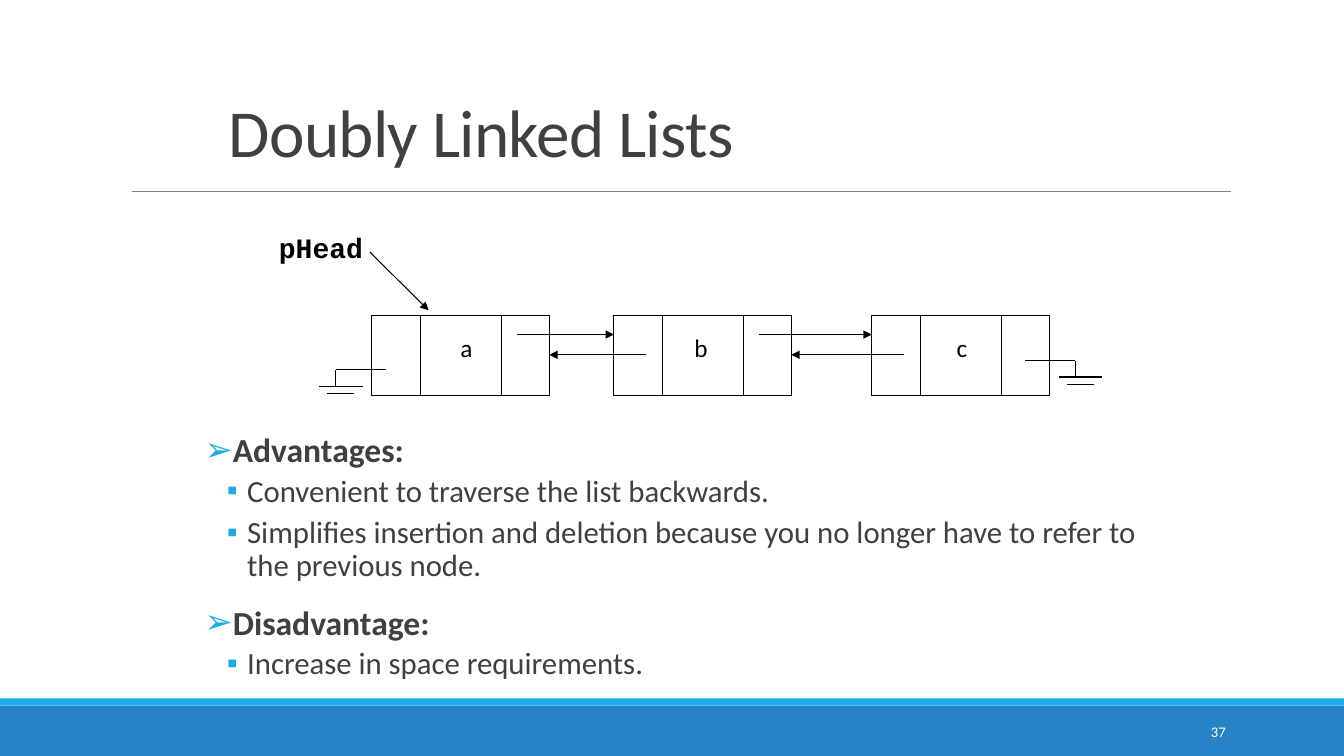
from pptx import Presentation
from pptx.dml.color import RGBColor
from pptx.enum.shapes import MSO_CONNECTOR, MSO_SHAPE
from pptx.enum.text import MSO_ANCHOR, PP_ALIGN
from pptx.oxml.ns import qn
from pptx.util import Cm, Pt
from lxml import etree

BLACK = RGBColor(0, 0, 0)
WHITE = RGBColor(255, 255, 255)
GREY = RGBColor(0x80, 0x80, 0x80)
DARK = RGBColor(0x40, 0x40, 0x40)
BLUE = RGBColor(0x26, 0x83, 0xC6)
CYAN = RGBColor(0x1C, 0xAD, 0xE4)
RECT = MSO_SHAPE.RECTANGLE
LINE = MSO_CONNECTOR.STRAIGHT
TOP, MID, LOW = MSO_ANCHOR.TOP, MSO_ANCHOR.MIDDLE, MSO_ANCHOR.BOTTOM
LEFT, CENTER, RIGHT = PP_ALIGN.LEFT, PP_ALIGN.CENTER, PP_ALIGN.RIGHT

TITLE = "Doubly Linked Lists"
NODES = [("a", 9.37, 10.8), ("b", 15.47, 16.71), ("c", 21.97, 23.29)]
POINTS = [
    ("Advantages:", [
        "Convenient to traverse the list backwards.",
        "Simplifies insertion and deletion because you no longer have to refer to the previous node.",
    ]),
    ("Disadvantage:", ["Increase in space requirements."]),
]
GROUNDS = [(25.83, 27.1, 9.09), (9.73, 8.46, 9.32)]
NODE_Y, NODE_W, NODE_H = 7.95, 4.47, 2.01
SPLITS = (1.23, 3.26)

deck = Presentation()
deck.slide_width, deck.slide_height = Cm(33.87), Cm(19.05)
slide = deck.slides.add_slide(deck.slide_layouts[5])
shapes = slide.shapes


def style(par, size, color, font="Calibri", bold=False):
    for run in par.runs:
        run.font.size = Pt(size)
        run.font.name = font
        run.font.bold = bold
        run.font.color.rgb = color


def rect(x, y, w, h, fill, edge=None):
    box = shapes.add_shape(RECT, Cm(x), Cm(y), Cm(w), Cm(h))
    box.shadow.inherit = False
    box.fill.solid()
    box.fill.fore_color.rgb = fill
    if edge is None:
        box.line.fill.background()
    else:
        box.line.color.rgb = edge
        box.line.width = Pt(0.75)


def line(x1, y1, x2, y2, color=BLACK, width=0.75, arrow=False):
    link = shapes.add_connector(LINE, Cm(x1), Cm(y1), Cm(x2), Cm(y2))
    link.line.color.rgb = color
    link.line.width = Pt(width)
    if arrow:
        etree.SubElement(link.line._get_or_add_ln(), qn("a:tailEnd"), type="triangle")
    etree.SubElement(link._element.spPr, qn("a:effectLst"))


def label(text, x, y, w, h, size, color=BLACK, font="Calibri", bold=False, align=LEFT, anchor=TOP):
    box = shapes.add_textbox(Cm(x), Cm(y), Cm(w), Cm(h))
    frame = box.text_frame
    frame.word_wrap = True
    frame.vertical_anchor = anchor
    frame.text = text
    frame.paragraphs[0].alignment = align
    style(frame.paragraphs[0], size, color, font, bold)


def bullet(par, mark, margin, hang):
    props = par._p.get_or_add_pPr()
    props.set("marL", str(Cm(margin)))
    props.set("indent", str(-Cm(hang)))
    tint = etree.SubElement(props, qn("a:buClr"))
    etree.SubElement(tint, qn("a:srgbClr"), val=str(CYAN))
    etree.SubElement(props, qn("a:buFont"), typeface="Wingdings" if mark == "" else "Arial")
    etree.SubElement(props, qn("a:buChar"), char=mark)


def ground(x, end, y):
    line(x, y, end, y)
    line(end, y, end, y + 0.42)
    mid = end + 0.13
    for half, drop in ((0.55, 0.41), (0.34, 0.59)):
        line(mid - half, y + drop, mid + half, y + drop)


rect(0, 17.78, 33.87, 1.27, BLUE)
rect(0, 17.6, 33.87, 0.18, CYAN)
line(3.33, 4.83, 31.01, 4.83, GREY, 0.5)

title = shapes.title
title.left, title.top, title.width, title.height = Cm(5.51), Cm(0.97), Cm(22.86), Cm(3.48)
title.text_frame.text = TITLE
title.text_frame.vertical_anchor = LOW
head = title.text_frame.paragraphs[0]
head.alignment = LEFT
head.line_spacing = 0.85
style(head, 48, DARK)
head.runs[0].font._element.set("spc", "-50")

body = shapes.add_textbox(Cm(5.16), Cm(10.8), Cm(23.83), Cm(7.42)).text_frame
body.word_wrap = True
body.margin_left = body.margin_right = 0
rows = []
for topic, items in POINTS:
    rows.append((topic, 0))
    rows += [(item, 1) for item in items]
for i, (text, level) in enumerate(rows):
    par = body.add_paragraph() if i else body.paragraphs[0]
    par.text = text
    par.level = level
    par.line_spacing = 0.9
    if i:
        par.space_before = Pt(2 if level else 12)
    par.space_after = Pt(4 if level else 2)
    if level:
        bullet(par, "▪", 1.07, 0.51)
        style(par, 22, DARK)
    else:
        bullet(par, "➢", 0.25, 0.25)
        style(par, 24, DARK, bold=True)

label("37", 27.51, 17.93, 3.63, 1.02, 10.5, WHITE, align=RIGHT, anchor=MID)

for name, x, text_x in NODES:
    rect(x, NODE_Y, NODE_W, NODE_H, WHITE, BLACK)
    for split in SPLITS:
        line(x + split, NODE_Y, x + split, NODE_Y + NODE_H)
    label(name, text_x, 8.26, 1.91, 1.02, 18, align=CENTER)

for (_, x, _), (_, after, _) in zip(NODES, NODES[1:]):
    line(x + 3.66, 8.43, after, 8.43, arrow=True)
    line(after + 0.82, 8.94, x + NODE_W, 8.94, arrow=True)

label("pHead", 6.78, 5.69, 3.61, 1.5, 20, font="Courier New", bold=True)
line(9.32, 6.35, 10.8, 7.82, arrow=True)
for x, end, y in GROUNDS:
    ground(x, end, y)

deck.save("out.pptx")
